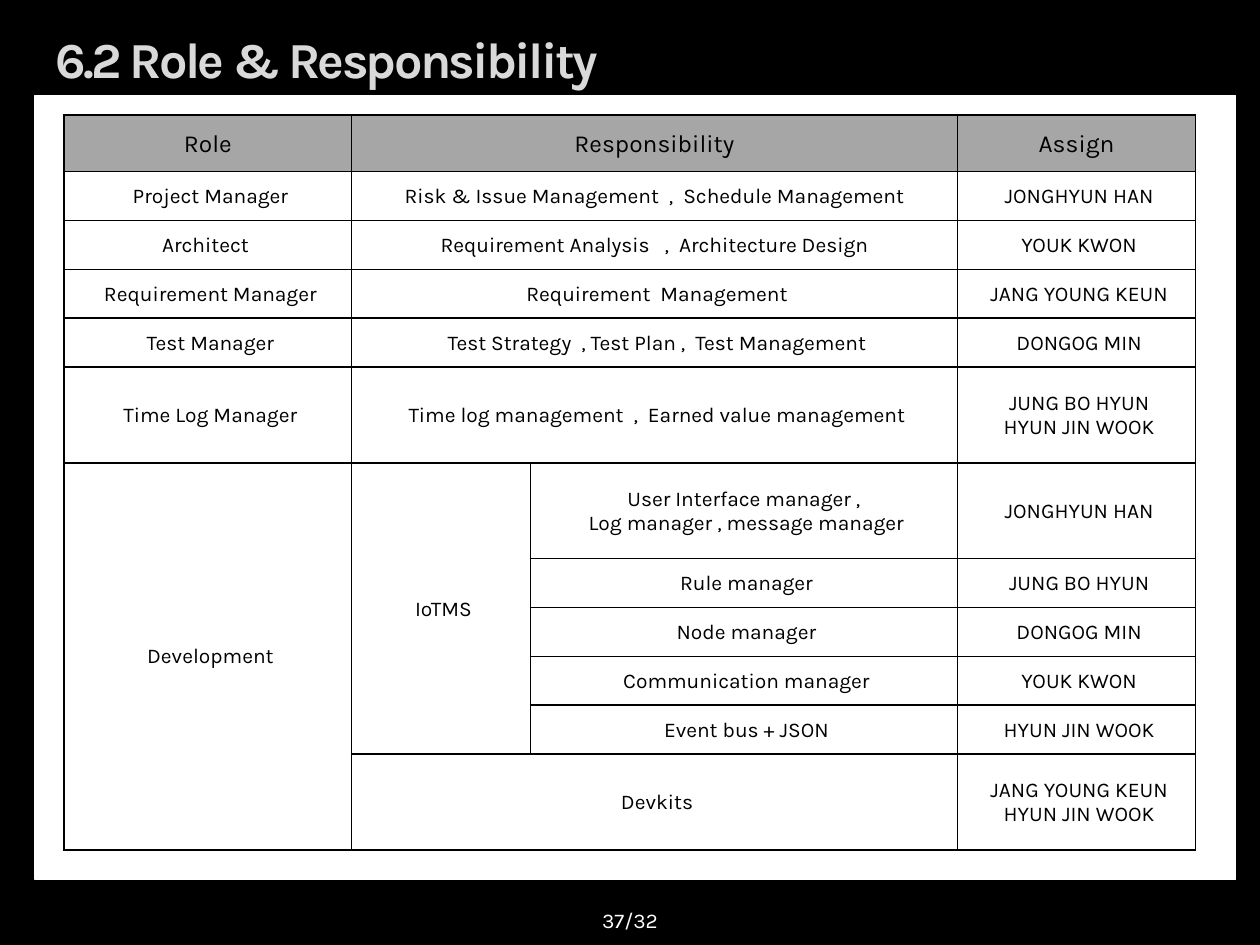
from lxml.etree import SubElement
from pptx import Presentation
from pptx.dml.color import RGBColor
from pptx.enum.shapes import MSO_SHAPE
from pptx.enum.text import MSO_ANCHOR, PP_ALIGN
from pptx.oxml.ns import qn
from pptx.util import Pt

COLORS = {"black": "000000", "white": "FFFFFF", "header": "A6A6A6", "title": "D9D9D9"}
COLUMN_WIDTHS = [164.2, 102.2, 244.1, 136.1]
HEADER_HEIGHT, ROW_HEIGHT, TALL_HEIGHT = 32.4, 27.9, 54.8
TALL_ROWS = {5, 6, 11}

# None marks a cell covered by a merge; a line break starts a new paragraph
ROLES = [
    ["Role", "Responsibility", None, "Assign"],
    ["Project Manager", "Risk & Issue Management  ,  Schedule Management ", None, "JONGHYUN HAN"],
    ["Architect  ", "Requirement Analysis   ,  Architecture Design ", None, "YOUK KWON"],
    ["Requirement Manager", "Requirement  Management", None, "JANG YOUNG KEUN"],
    ["Test Manager", "Test Strategy  , Test Plan ,  Test Management", None, "DONGOG MIN"],
    ["Time Log Manager", "Time log management  ,  Earned value management", None,
     "JUNG BO HYUN\nHYUN JIN WOOK"],
    ["Development", "IoTMS", "User Interface manager , \nLog manager , message manager",
     "JONGHYUN HAN"],
    [None, None, "Rule manager", "JUNG BO HYUN"],
    [None, None, "Node manager", "DONGOG MIN"],
    [None, None, "Communication manager", "YOUK KWON"],
    [None, None, "Event bus + JSON", "HYUN JIN WOOK"],
    [None, "Devkits", None, "JANG YOUNG KEUN\nHYUN JIN WOOK"],
]
# Responsibility spans two columns except in the development rows
MERGES = [((row, 1), (row, 2)) for row in (0, 1, 2, 3, 4, 5, 11)]
MERGES += [((6, 0), (11, 0)), ((6, 1), (10, 1))]


def rgb(name):
    return RGBColor.from_string(COLORS[name])


def set_all(target, values):
    for name, value in values.items():
        setattr(target, name, value)


class SlideBuilder:
    font = "Karla"
    header_margins = {"margin_left": Pt(0.72), "margin_right": Pt(0.72)}
    body_margins = {"margin_left": Pt(5.76), "margin_right": Pt(2.88)}
    cell_format = {"vertical_anchor": MSO_ANCHOR.MIDDLE,
                   "margin_top": Pt(0.72), "margin_bottom": Pt(0)}

    def __init__(self, slide):
        self.slide = slide

    def background(self, color):
        fill = self.slide.background.fill
        fill.solid()
        fill.fore_color.rgb = rgb(color)

    def fill_text(self, frame, text, size, color, align, bold=False):
        frame.text = text
        for paragraph in frame.paragraphs:
            paragraph.alignment = align
            for run in paragraph.runs:
                set_all(run.font, {"name": self.font, "size": Pt(size), "bold": bold})
                run.font.color.rgb = rgb(color)

    def panel(self, box, color):
        panel = self.slide.shapes.add_shape(MSO_SHAPE.RECTANGLE, *map(Pt, box))
        panel.shadow.inherit = False
        panel.fill.solid()
        panel.fill.fore_color.rgb = rgb(color)
        panel.line.color.rgb = rgb(color)
        panel.line.width = Pt(0.75)

    def label(self, box, text, size, color, align, bold=False, spacing=0):
        frame = self.slide.shapes.add_textbox(*map(Pt, box)).text_frame
        set_all(frame, {"word_wrap": True, "vertical_anchor": MSO_ANCHOR.MIDDLE})
        self.fill_text(frame, text, size, color, align, bold)
        if spacing:
            properties = frame.paragraphs[0].runs[0]._r.get_or_add_rPr()
            properties.set("spc", str(int(spacing * 100)))

    def borders(self, cell, color, width):
        properties = cell._tc.get_or_add_tcPr()
        for side in ("lnL", "lnR", "lnT", "lnB"):
            line = SubElement(properties, qn(f"a:{side}"), w=str(Pt(width)))
            solid = SubElement(line, qn("a:solidFill"))
            SubElement(solid, qn("a:srgbClr"), val=COLORS[color])

    def table(self, left, top, rows, widths, heights, merges):
        box = map(Pt, (left, top, sum(widths), sum(heights)))
        table = self.slide.shapes.add_table(len(rows), len(widths), *box).table
        for column, width in zip(table.columns, widths):
            column.width = Pt(width)
        for row, height in zip(table.rows, heights):
            row.height = Pt(height)
        for first, last in merges:
            table.cell(*first).merge(table.cell(*last))

        for r, texts in enumerate(rows):
            is_header = r == 0
            margins = self.header_margins if is_header else self.body_margins
            for c, text in enumerate(texts):
                cell = table.cell(r, c)
                # Borders come before the fill in the cell's properties
                self.borders(cell, "black", 1)
                cell.fill.solid()
                cell.fill.fore_color.rgb = rgb("header" if is_header else "white")
                set_all(cell, {**self.cell_format, **margins})
                if text is not None:
                    self.fill_text(cell.text_frame, text, 14 if is_header else 12,
                                   "black", PP_ALIGN.CENTER)


def main():
    deck = Presentation()
    set_all(deck, {"slide_width": Pt(720), "slide_height": Pt(540)})
    builder = SlideBuilder(deck.slides.add_slide(deck.slide_layouts[6]))

    # Backdrop
    builder.background("black")
    builder.panel((20, 54.7, 686, 448), "white")

    # Title and page number
    builder.label((24.5, 15.1, 658, 36.7), "6.2 Role & Responsibility", 28.8, "title",
                  PP_ALIGN.LEFT, bold=True, spacing=-1.5)
    builder.label((276, 511.2, 168, 28.8), "37/32", 12, "white", PP_ALIGN.CENTER)

    # Roles and who takes them
    heights = [HEADER_HEIGHT] + [TALL_HEIGHT if row in TALL_ROWS else ROW_HEIGHT
                                 for row in range(1, len(ROLES))]
    builder.table(36.7, 65.7, ROLES, COLUMN_WIDTHS, heights, MERGES)

    deck.save("out.pptx")


if __name__ == "__main__":
    main()
